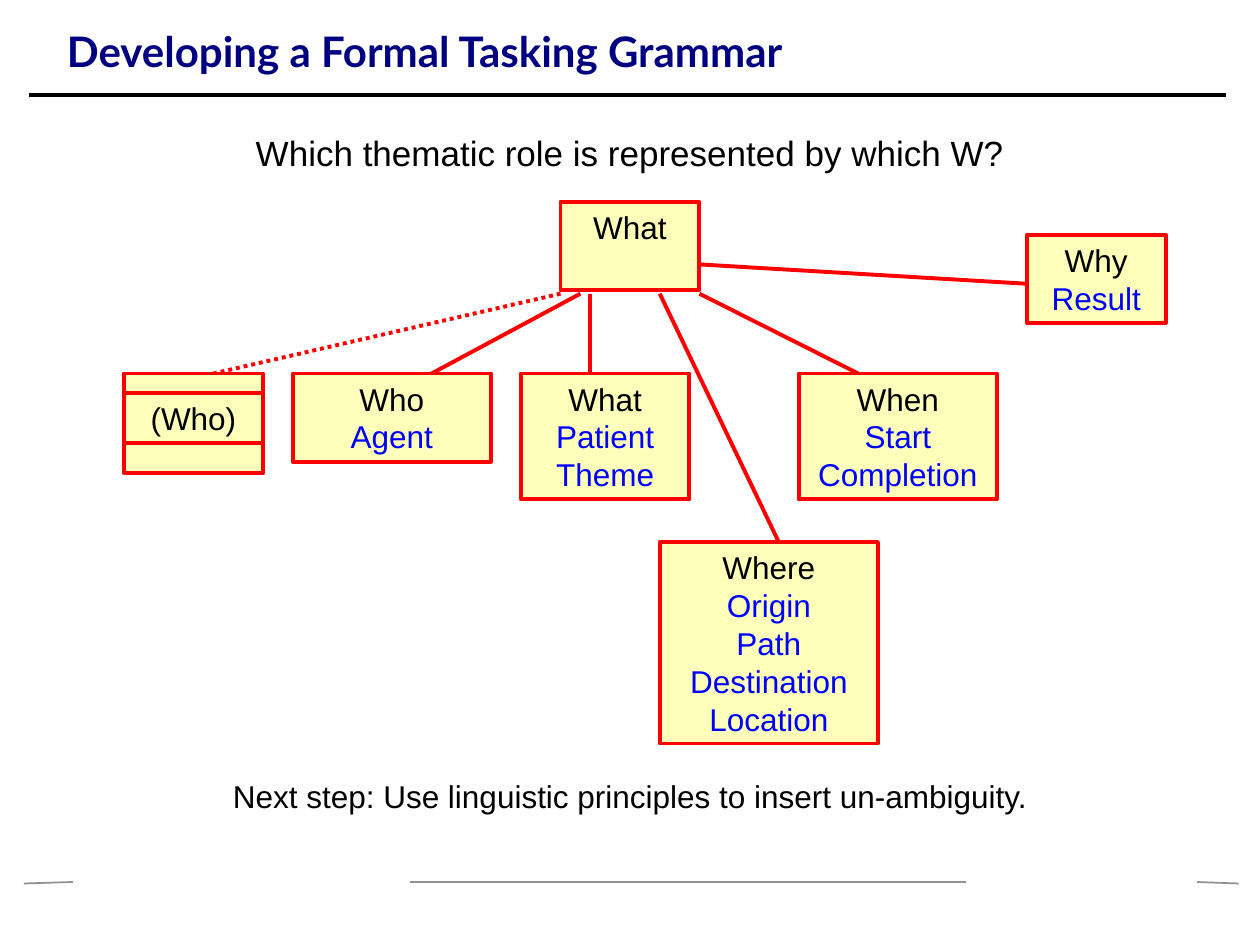
"""Build the slide that maps thematic roles to W-questions."""
import pptx
import pptx.dml.color
import pptx.enum.dml
import pptx.enum.shapes
import pptx.enum.text
import pptx.oxml.ns
import pptx.util
import lxml.etree

Cm, Pt = pptx.util.Cm, pptx.util.Pt
ALIGN = pptx.enum.text.PP_ALIGN
ANCHOR = pptx.enum.text.MSO_ANCHOR

COLORS = {"box": "FCFEB9", "edge": "FF0000", "role": "0000FF", "text": "000000",
          "title": "000080", "rule": "000000", "footer": "919191"}

TEXTS = [
    ("Developing a Formal Tasking Grammar", (1.1, 0.22, 22.86, 1.62), "title", ALIGN.LEFT,
     {"name": "Lato", "size": Pt(24), "bold": True}),
    ("Which thematic role is represented by which W?", (4.9, 2.51, 15.6, 1.12), "text", ALIGN.CENTER,
     {"name": "Arial", "size": Pt(20)}),
    ("Next step: Use linguistic principles to insert un-ambiguity.", (4.42, 15.53, 16.56, 1.02), "text",
     ALIGN.CENTER, {"name": "Arial", "size": Pt(18)}),
]
BOX_FONT = {"name": "Arial", "size": Pt(18)}
LINE_H, PAD = 0.76, 0.26
TOP, ROW, LOW = 4.07, 7.53, 10.93
FORK = 5.92

BOXES = [
    (2.5, ROW, 2.8, 2.3, []),
    (2.5, 7.92, 2.8, 1, ["(Who)"]),
    (5.9, ROW, 4, 2, ["Who", "Agent"]),
    (10.5, ROW, 3.4, 3, ["What", "Patient", "Theme"]),
    (16.1, ROW, 4, 3, ["When", "Start", "Completion"]),
    (13.3, LOW, 4.4, 5, ["Where", "Origin", "Path", "Destination", "Location"]),
    (20.7, 4.73, 2.8, 2, ["Why", "Result"]),
    (11.3, TOP, 2.8, 2, ["What"]),
]
BRANCHES = [
    (11.7, FORK, 8.7, ROW),
    (11.9, FORK, 11.9, ROW),
    (14.1, FORK, 17.3, ROW),
    (13.3, FORK, 15.7, LOW),
    (14.1, 5.33, 20.7, 5.72),
]
OPTIONAL_BRANCH = (11.3, FORK, 4.3, ROW)
FOOTER_RULES = [(8.26, 17.78, 19.48, 17.78), (0.48, 17.81, 1.47, 17.78), (24.13, 17.78, 24.97, 17.81)]
TITLE_RULE = (0.58, 1.91, 24.71, 1.91)


def rgb(key):
    return pptx.dml.color.RGBColor.from_string(COLORS[key])


def set_all(obj, values):
    for name, value in values.items():
        setattr(obj, name, value)


def add_line(slide, ends, color, width):
    c = slide.shapes.add_connector(pptx.enum.shapes.MSO_CONNECTOR.STRAIGHT, *map(Cm, ends))
    c.line.color.rgb, c.line.width = rgb(color), Pt(width)
    lxml.etree.SubElement(c._element.spPr, pptx.oxml.ns.qn("a:effectLst"))
    return c


def write(tf, lines, colors, align, font):
    for i, (line, color) in enumerate(zip(lines, colors)):
        p = tf.paragraphs[0] if i == 0 else tf.add_paragraph()
        p.alignment = align
        r = p.add_run()
        r.text = line
        set_all(r.font, font)
        r.font.color.rgb = rgb(color)


def add_box(slide, left, top, width, rows, lines):
    height = rows * LINE_H + PAD
    sp = slide.shapes.add_shape(pptx.enum.shapes.MSO_SHAPE.RECTANGLE,
                                *map(Cm, (left, top, width, height)))
    sp.shadow.inherit = False
    sp.fill.solid()
    sp.fill.fore_color.rgb = rgb("box")
    sp.line.color.rgb, sp.line.width = rgb("edge"), Pt(2.25)
    set_all(sp.text_frame, {"word_wrap": True, "vertical_anchor": ANCHOR.TOP})
    write(sp.text_frame, lines, ["text"] + ["role"] * len(lines), ALIGN.CENTER, BOX_FONT)


def main():
    prs = pptx.Presentation()
    set_all(prs, {"slide_width": Cm(25.4), "slide_height": Cm(19.05)})
    slide = prs.slides.add_slide(prs.slide_layouts[6])

    for ends in FOOTER_RULES:
        add_line(slide, ends, "footer", 1)
    add_line(slide, TITLE_RULE, "rule", 2)
    for ends in BRANCHES:
        add_line(slide, ends, "edge", 2.25)
    optional = add_line(slide, OPTIONAL_BRANCH, "edge", 2.25)
    optional.line.dash_style = pptx.enum.dml.MSO_LINE.ROUND_DOT
    for box in BOXES:
        add_box(slide, *box)
    for text, place, color, align, font in TEXTS:
        tf = slide.shapes.add_textbox(*map(Cm, place)).text_frame
        set_all(tf, {"word_wrap": True, "vertical_anchor": ANCHOR.MIDDLE})
        write(tf, [text], [color], align, font)

    prs.save("out.pptx")


if __name__ == "__main__":
    main()
